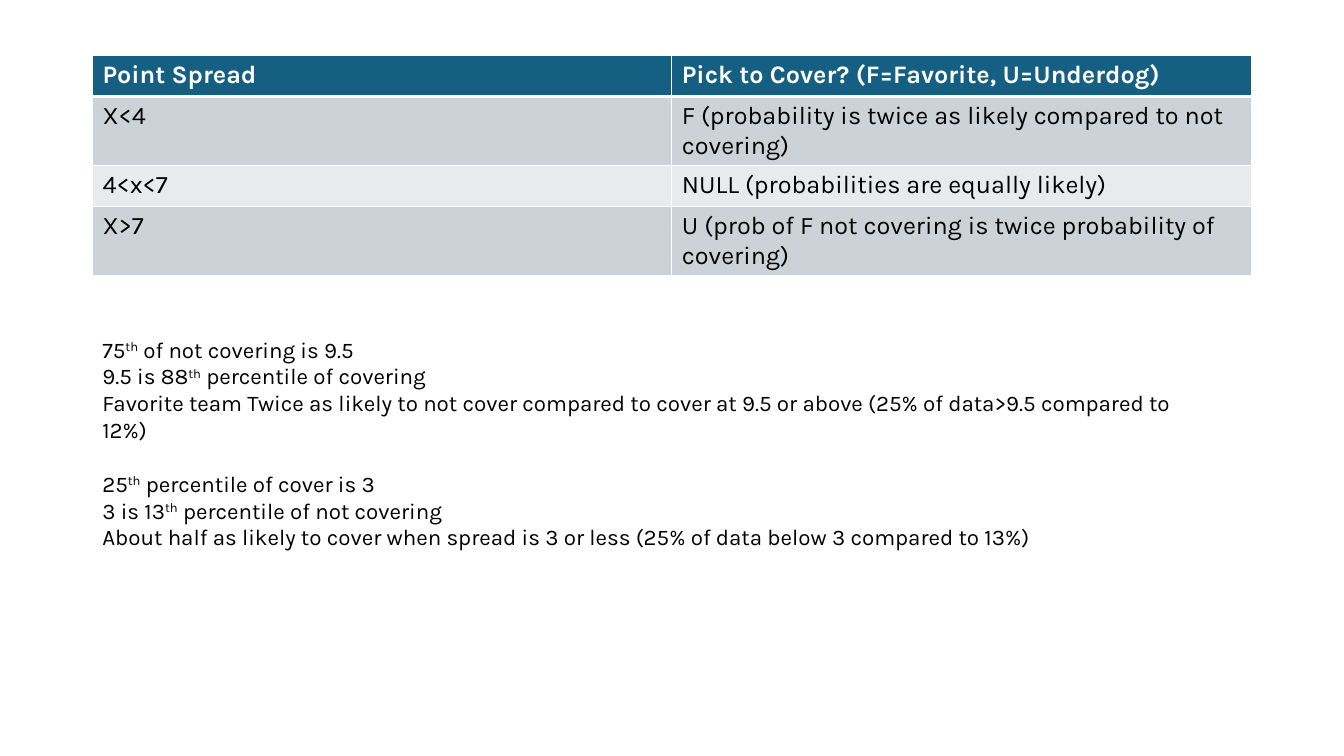
from lxml import etree
from pptx import Presentation
from pptx import util as u
from pptx.dml.color import RGBColor
from pptx.enum import text
from pptx.oxml import ns

ROWS = [
    ("Point Spread", "Pick to Cover? (F=Favorite, U=Underdog)"),
    ("X<4", "F (probability is twice as likely compared to not covering)"),
    ("4<x<7", "NULL (probabilities are equally likely)"),
    ("X>7", "U (prob of F not covering is twice probability of covering)"),
]
NOTES = [
    [
        ("75", "th", " of not covering is 9.5"),
        ("9.5 is 88", "th", " percentile of covering"),
        ("Favorite team Twice as likely to not cover compared to cover "
         "at 9.5 or above (25% of data>9.5 compared to 12%)",),
    ],
    [
        ("25", "th", " percentile of cover is 3"),
        ("3 is 13", "th", " percentile of not covering"),
        ("About half as likely to cover when spread is 3 or less "
         "(25% of data below 3 compared to 13%)",),
    ],
]
HEADER, BANDS = "156082", ("E8EAED", "CCD2D8")
WHITE, BLACK = "FFFFFF", "000000"
LEFT, TABLE_TOP, COL_W, ROW_H = 2.33, 1.4, 14.6, 1.03
NOTES_TOP, NOTES_W, NOTES_H, NOTES_INSET = 7.65, 28.25, 7.26, 0.81
HEAD_FONT = {"name": "Karla", "size": u.Pt(18), "bold": True}
BODY_FONT = {"name": "Karla", "size": u.Pt(18), "bold": False}
NOTE_FONT = {"name": "Karla", "size": u.Pt(16)}
GROUP_GAP = 19


def rgb(value):
    return RGBColor.from_string(value)


def add_run(p, words, font, color):
    r = p.add_run()
    r.text = words
    for key, value in font.items():
        setattr(r.font, key, value)
    r.font.color.rgb = rgb(color)
    return r


def set_borders(cell, widths):
    tcPr = cell._tc.get_or_add_tcPr()
    for side, width in widths.items():
        ln = etree.SubElement(tcPr, ns.qn(f"a:ln{side}"), w=str(u.Pt(width)))
        fill = etree.SubElement(ln, ns.qn("a:solidFill"))
        etree.SubElement(fill, ns.qn("a:srgbClr"), val=WHITE)


def add_table(s):
    frame = s.shapes.add_table(len(ROWS), 2, u.Cm(LEFT), u.Cm(TABLE_TOP),
                               u.Cm(2 * COL_W), u.Cm(len(ROWS) * ROW_H))
    for i, row in enumerate(ROWS):
        head = i == 0
        for j, words in enumerate(row):
            cell = frame.table.cell(i, j)
            set_borders(cell, {"L": 1, "R": 1, "T": 3 if i == 1 else 1, "B": 3 if head else 1})
            cell.fill.solid()
            cell.fill.fore_color.rgb = rgb(HEADER if head else BANDS[i % 2])
            add_run(cell.text_frame.paragraphs[0], words,
                    HEAD_FONT if head else BODY_FONT, WHITE if head else BLACK)


def add_notes(s):
    sp = s.shapes.add_textbox(u.Cm(LEFT), u.Cm(NOTES_TOP), u.Cm(NOTES_W), u.Cm(NOTES_H))
    tf = sp.text_frame
    frame_format = {"word_wrap": True, "margin_top": u.Cm(NOTES_INSET),
                    "vertical_anchor": text.MSO_ANCHOR.TOP}
    for key, value in frame_format.items():
        setattr(tf, key, value)
    for g, group in enumerate(NOTES):
        for n, line in enumerate(group):
            p = tf.add_paragraph() if g or n else tf.paragraphs[0]
            if g and n == 0:
                p.space_before = u.Pt(GROUP_GAP)
            for words in line:
                r = add_run(p, words, NOTE_FONT, BLACK)
                if words == "th":
                    r._r.get_or_add_rPr().set("baseline", "30000")


def main():
    """Build the point spread slide and save it."""
    prs = Presentation()
    prs.slide_width, prs.slide_height = u.Cm(33.87), u.Cm(19.05)
    s = prs.slides.add_slide(prs.slide_layouts[6])
    add_table(s)
    add_notes(s)
    prs.save("out.pptx")


if __name__ == "__main__":
    main()
